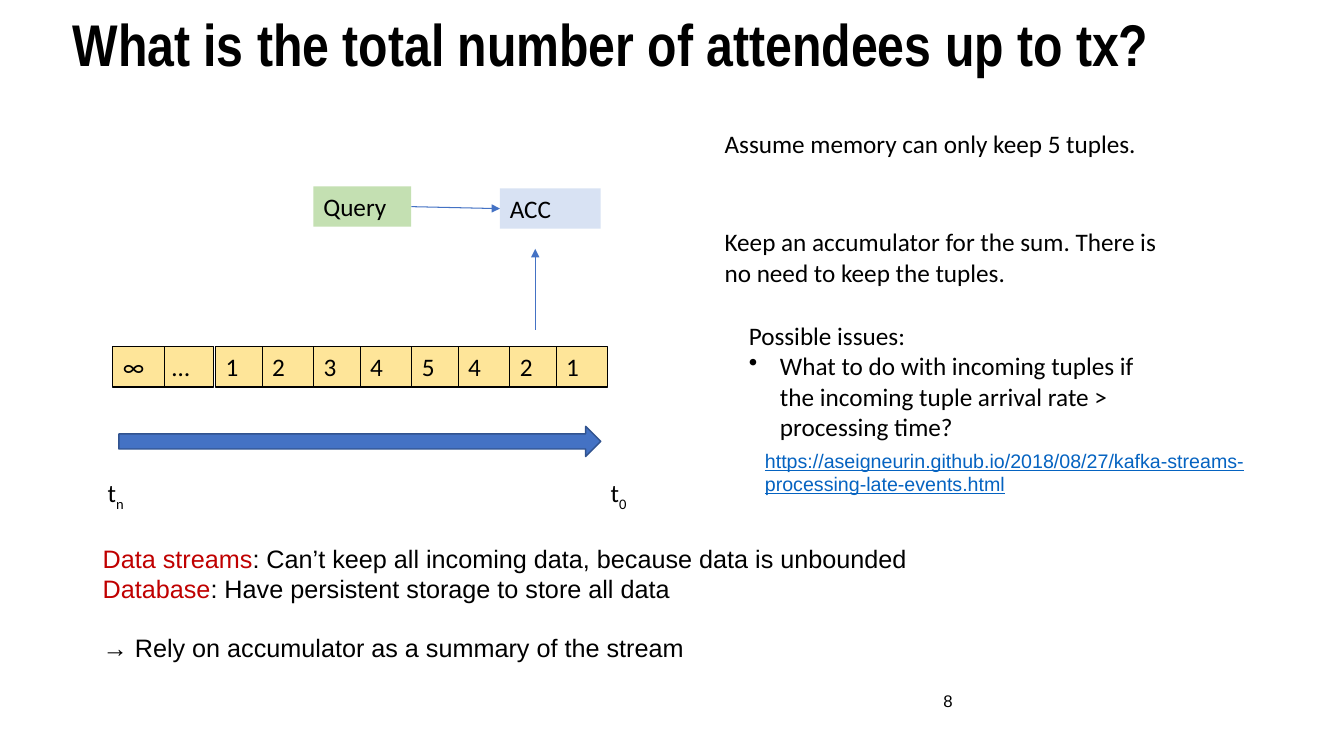
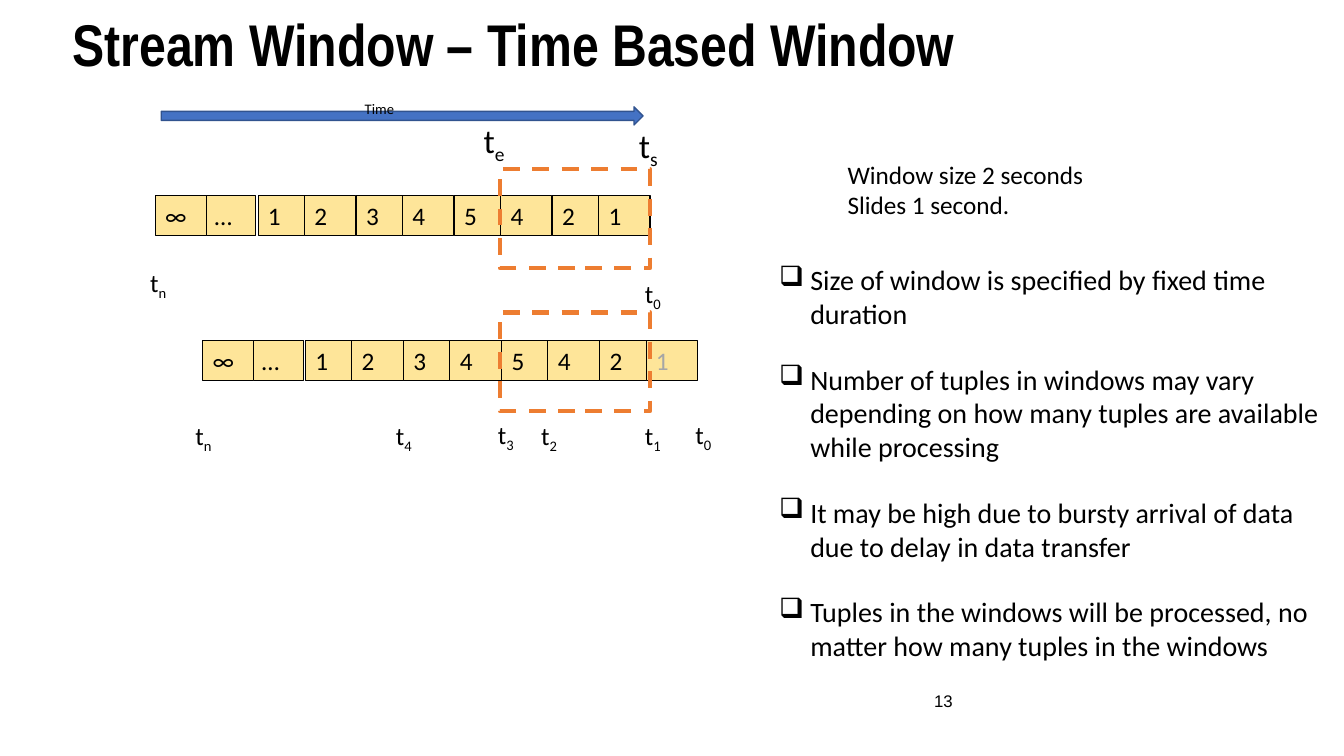
from lxml import etree
from pptx import Presentation
from pptx import util as u
from pptx.dml import color
from pptx.enum import dml, shapes, text
from pptx.oxml import ns

# Grid: every length below counts cells of a tenth of an inch
CELL = u.Inches(0.1)
COLUMNS, ROWS = 133.33, 75
BLANK_LAYOUT = 6

# Shared look
BLACK, RED, GREY, LINK = "000000", "C00000", "A6A6A6", "0563C1"
BLUE, NAVY, ORANGE = "4472C4", "31538F", "ED7D31"
SAND, GREEN, PALE_BLUE = "FEE599", "C4E0B2", "D8E2F3"
TITLE_FONT, BODY_FONT, PLAIN_FONT = "Arial Narrow", "Calibri", "Arial"
TITLE_BOX = (6.7, 1.1, 120, 5.6)
NUMBER_BOX = (64.4, 67.5, 31.1, 4)
LABEL_WIDTH, ROW_HEIGHT = 4.2, 4
HANG = 3.1

# Tuples of a stream, newest on the right
STREAM = "∞…12345421"
TUPLE_WIDTH = 5.1
DOTS_OFFSET, FIRST_OFFSET = 4.9, 10.2
PAIR_PITCH, ODD_PITCH = 9.73, 4.6


def cells(*counts):
    return [round(count * CELL) for count in counts]


def rgb(value):
    return color.RGBColor.from_string(value)


def tuple_offset(index):
    """Distance of a tuple from the left end of its stream."""
    if index < 2:
        return index * DOTS_OFFSET
    pair, odd = divmod(index - 2, 2)
    return FIRST_OFFSET + pair * PAIR_PITCH + odd * ODD_PITCH


class Deck:
    def __init__(self):
        self.deck = Presentation()
        self.deck.slide_width, self.deck.slide_height = cells(COLUMNS, ROWS)
        self.page = None

    def new_page(self, title, number):
        layout = self.deck.slide_layouts[BLANK_LAYOUT]
        self.page = self.deck.slides.add_slide(layout)
        heading = self.text(TITLE_BOX, [title], 42, TITLE_FONT, bold=True)
        frame = heading.text_frame
        frame.margin_left = frame.margin_right = u.Inches(0.05)
        frame.paragraphs[0].line_spacing = 0.9
        footer = self.text(NUMBER_BOX, [str(number)], 12, PLAIN_FONT)
        footer.text_frame.vertical_anchor = text.MSO_ANCHOR.MIDDLE
        footer.text_frame.paragraphs[0].alignment = text.PP_ALIGN.RIGHT

    # Text
    def fill_text(self, shape, paras, size=18, face=BODY_FONT, ink=BLACK,
                  bold=False, underline=False, bullets=None, gaps=None):
        """Each para is a string or a list of (text, colour, is_subscript).
        bullets and gaps map a para's index to its mark or space before."""
        frame = shape.text_frame
        frame.word_wrap = True
        frame.vertical_anchor = text.MSO_ANCHOR.TOP
        for index, spans in enumerate(paras):
            para = frame.add_paragraph() if index else frame.paragraphs[0]
            para.alignment = text.PP_ALIGN.LEFT
            if gaps and index in gaps:
                para.space_before = u.Pt(gaps[index])
            if bullets and index in bullets:
                self.bullet(para, bullets[index])
            font = para.font
            font.size, font.name = u.Pt(size), face
            font.bold, font.underline = bold, underline
            if isinstance(spans, str):
                spans = [(spans, ink, False)]
            same_ink = len({span_ink for _, span_ink, _ in spans}) == 1
            if same_ink:
                font.color.rgb = rgb(spans[0][1])
            for words, span_ink, subscript in spans:
                span = para.add_run()
                span.text = words
                if not same_ink or shape.shape_type != shapes.MSO_SHAPE_TYPE.TEXT_BOX:
                    span.font.color.rgb = rgb(span_ink)
                if subscript:
                    span._r.get_or_add_rPr().set("baseline", "-25000")
        return shape

    def bullet(self, para, mark):
        props = para._p.get_or_add_pPr()
        hang = cells(HANG)[0]
        props.set("marL", str(hang))
        props.set("indent", str(-hang))
        tint = etree.SubElement(props, ns.qn("a:buClr"))
        etree.SubElement(tint, ns.qn("a:srgbClr"), val=BLACK)
        etree.SubElement(props, ns.qn("a:buChar"), char=mark)

    def text(self, box, paras, *style, **options):
        shape = self.page.shapes.add_textbox(*cells(*box))
        return self.fill_text(shape, paras, *style, **options)

    def time_label(self, left, top, index, size=18, width=LABEL_WIDTH, height=ROW_HEIGHT):
        spans = [("t", BLACK, False), (index, BLACK, True)]
        self.text((left, top, width, height), [spans], size)

    # Shapes
    def shape(self, box, fill=None, line=None, weight=0.75,
              kind=shapes.MSO_SHAPE.RECTANGLE):
        shape = self.page.shapes.add_shape(kind, *cells(*box))
        shape.shadow.inherit = False
        if fill:
            shape.fill.solid()
            shape.fill.fore_color.rgb = rgb(fill)
        else:
            shape.fill.background()
        if line:
            shape.line.color.rgb = rgb(line)
            shape.line.width = u.Pt(weight)
        else:
            shape.line.fill.background()
        return shape

    def node(self, box, words, fill, line=None, ink=BLACK):
        return self.fill_text(self.shape(box, fill, line), [words], ink=ink)

    def time_arrow(self, left, top, height):
        self.shape((left, top, 47.8, height), BLUE, NAVY, 1,
                   shapes.MSO_SHAPE.RIGHT_ARROW)

    def window(self, top):
        frame = self.shape((49.6, top, 14.9, 9.8), line=ORANGE, weight=3)
        frame.line.dash_style = dml.MSO_LINE.DASH

    def stream(self, left, top, last_ink=BLACK):
        # Infinity and dots come last, so they lie over their neighbours
        last = len(STREAM) - 1
        for index in [*range(2, last + 1), 1, 0]:
            box = (left + tuple_offset(index), top, TUPLE_WIDTH, ROW_HEIGHT)
            ink = last_ink if index == last else BLACK
            self.node(box, STREAM[index], SAND, BLACK, ink)

    def arrow(self, ends=(0, 0, 0, 0), source=None, target=None):
        line = self.page.shapes.add_connector(
            shapes.MSO_CONNECTOR.STRAIGHT, *cells(*ends))
        if source and target:
            line.begin_connect(source, 3)
            line.end_connect(target, 1)
        line.line.color.rgb = rgb(BLUE)
        line.line.width = u.Pt(0.75)
        etree.SubElement(line.line._get_or_add_ln(), ns.qn("a:tailEnd"), type="triangle")
        etree.SubElement(line._element.spPr, ns.qn("a:effectLst"))


def accumulator_page(deck):
    deck.new_page("What is the total number of attendees up to tx?", 8)

    # Stream feeding the accumulator
    deck.stream(11.2, 34.4)
    deck.time_arrow(11.8, 42.3, 3)
    deck.time_label(59.6, 46.9, "0")
    deck.time_label(9.7, 46.9, "n")
    query = deck.node((31.1, 18.5, 9.7, ROW_HEIGHT), "Query", GREEN)
    accumulator = deck.node((49.6, 18.7, 10, ROW_HEIGHT), "ACC", PALE_BLUE)
    deck.arrow(source=query, target=accumulator)
    deck.arrow((53.1, 32.7, 53.1, 24.7))

    # Remarks
    deck.text((70.9, 12.2, 52.8, 4), ["Assume memory can only keep 5 tuples."])
    deck.text((70.9, 22, 46.3, 7.1), [
        "Keep an accumulator for the sum. There is no need to keep the tuples."])
    deck.text((73.3, 31.3, 40.7, 13.1), [
        "Possible issues:",
        "What to do with incoming tuples if the incoming tuple arrival rate > "
        "processing time?"], bullets={1: "•"})
    deck.text((74.9, 44, 53.7, 5.7), [
        "https://aseigneurin.github.io/2018/08/27/"
        "kafka-streams-processing-late-events.html"],
        14, PLAIN_FONT, LINK, underline=True)

    # Summary
    deck.text((9.2, 53.4, 94.8, 13.1), [
        [("Data streams", RED, False),
         (": Can’t keep all incoming data, because data is unbounded", BLACK, False)],
        [("Database", RED, False),
         (": Have persistent storage to store all data", BLACK, False)],
        "→ Rely on accumulator as a summary of the stream"],
        18, PLAIN_FONT, gaps={2: 20.7})


def window_page(deck):
    deck.new_page("Stream Window – Time Based Window", 13)

    # First window
    deck.stream(15.4, 19.4)
    deck.time_label(63, 27.1, "0")
    deck.time_label(13.9, 26, "n")
    deck.window(16.8)
    deck.time_label(47, 11.4, "e", 24, 4.6, 5)
    deck.time_label(62.4, 11.9, "s", 24, 5.6, 5)

    # Window after one slide step
    deck.stream(20.1, 33.8, GREY)
    deck.window(31)
    for left, top, index in ((68, 41.1, "0"), (63, 41.2, "1"), (52.7, 41.2, "2"),
                             (48.4, 41.1, "3"), (38.3, 41.2, "4"), (18.4, 41.2, "n")):
        deck.time_label(left, top, index)

    # Time axis
    deck.time_arrow(16, 10.6, 1.8)
    deck.text((35.2, 7.7, 11.3, 4), [[("Time", BLACK, True)]])

    # Remarks
    deck.text((83.1, 15.3, 37.7, 7.1), ["Window size 2 seconds", "Slides 1 second."])
    remarks = [
        "Size of window is specified by fixed time duration",
        "Number of tuples in windows may vary depending on how many tuples are "
        "available while processing",
        "It may be high due to bursty arrival of data due to delay in data transfer",
        "Tuples in the windows will be processed, no matter how many tuples in the "
        "windows"]
    deck.text((76.3, 25.6, 57.1, 41.4), remarks, 20,
              bullets=dict.fromkeys(range(len(remarks)), "❑"),
              gaps=dict.fromkeys(range(1, len(remarks)), 23))


def main():
    deck = Deck()
    accumulator_page(deck)
    window_page(deck)
    deck.deck.save("out.pptx")


if __name__ == "__main__":
    main()
